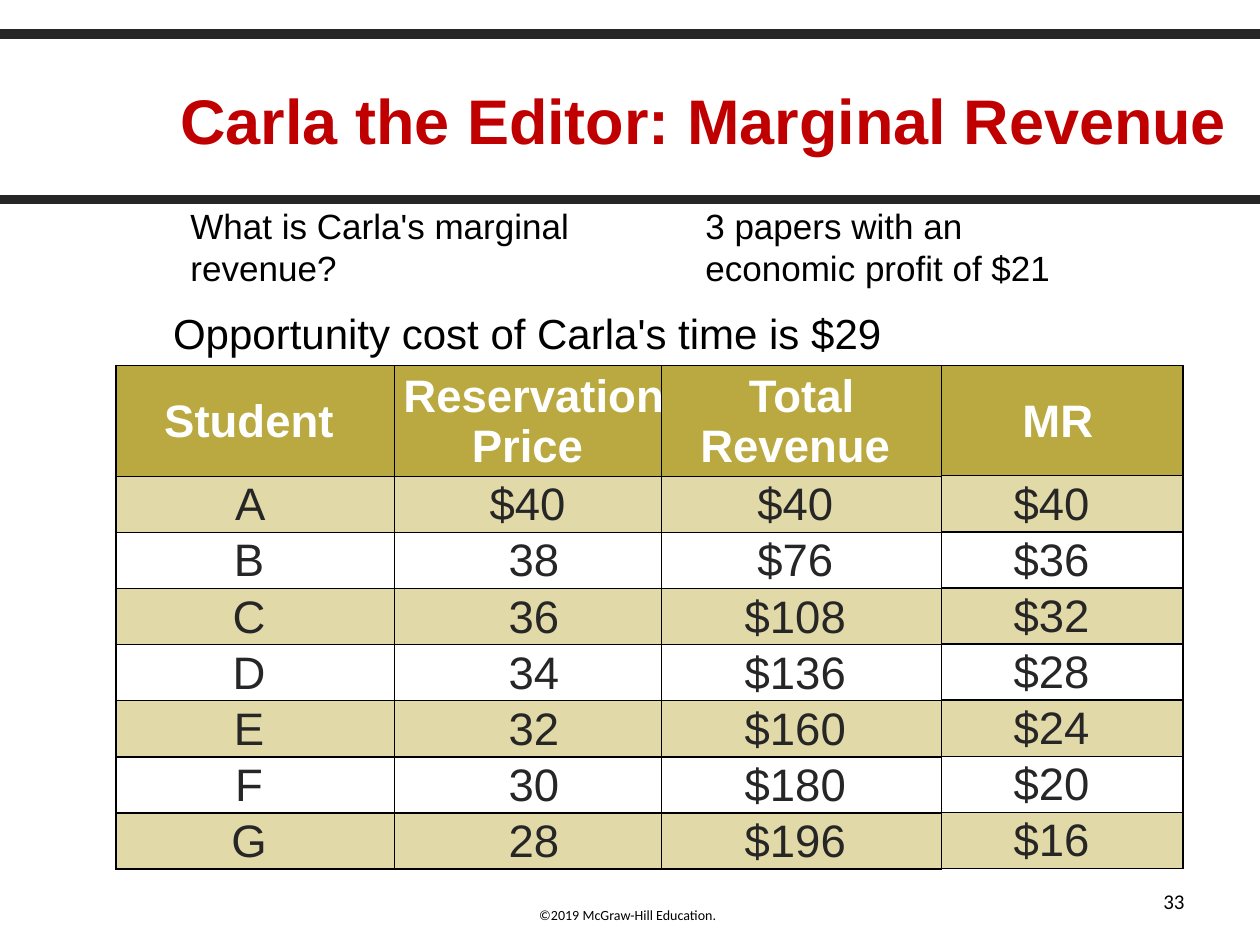
from dataclasses import dataclass

from lxml.etree import SubElement
from pptx import Presentation
from pptx.dml.color import RGBColor
from pptx.enum.shapes import MSO_CONNECTOR
from pptx.enum.text import MSO_ANCHOR, PP_ALIGN
from pptx.oxml.ns import qn
from pptx.util import Cm, Pt


@dataclass(frozen=True)
class Theme:
    font: str = "Arial"
    small: str = "Calibri"
    black: str = "000000"
    white: str = "FFFFFF"
    dark: str = "262626"
    red: str = "C00000"
    gold: str = "BAA940"
    pale: str = "E1D9A7"
    title: int = 36
    cell: int = 26
    lead: int = 24
    note: int = 20
    page: int = 12
    credit: int = 8
    rule: float = 5.5


THEME = Theme()
HEAD, ROW = 2.22, 1.13
INSET = 0.03
# Left, width and columns, from back to front
TABLES = [
    (2.34, 11.23, [
        ["Student ", "A ", "B ", "C ", "D ", "E ", "F ", "G "],
        ["Reservation Price ", "$40 ", "38", "36", "34", "32", "30", "28"],
    ]),
    (18.8, 5.05, [
        ["MR", "$40 ", "$36 ", "$32 ", "$28 ", "$24 ", "$20 ", "$16 "],
    ]),
    (13.34, 5.64, [
        ["Total Revenue ", "$40 ", "$76 ", "$108 ", "$136 ", "$160 ",
         "$180 ", "$196 "],
    ]),
]


def place(shape, box):
    shape.left, shape.top, shape.width, shape.height = map(Cm, box)


def write(frame, lines, size, color=THEME.black, font=THEME.font, bold=False,
          align=PP_ALIGN.LEFT, anchor=MSO_ANCHOR.TOP):
    frame.word_wrap = True
    frame.vertical_anchor = anchor
    for i, line in enumerate(lines):
        para = frame.add_paragraph() if i else frame.paragraphs[0]
        para.alignment = align
        run = para.add_run()
        run.text = line
        run.font.name, run.font.size, run.font.bold = font, Pt(size), bold
        run.font.color.rgb = RGBColor.from_string(color)


def add_text(slide, box, lines, size, **style):
    shape = slide.shapes.add_textbox(*map(Cm, box))
    write(shape.text_frame, lines, size, **style)


def add_rule(slide, y, width):
    line = slide.shapes.add_connector(
        MSO_CONNECTOR.STRAIGHT, 0, Cm(y), Cm(width), Cm(y))
    line.line.color.rgb = RGBColor.from_string(THEME.dark)
    line.line.width = Pt(THEME.rule)
    SubElement(line._element.spPr, qn("a:effectLst"))


def add_header(slide, box):
    left, top, width, height = box
    for y in (top, top + height):
        add_rule(slide, y, left + width)
    title = slide.shapes.title
    place(title, (left + 2.97, top + 0.08, width - 2.97, height - 0.08))
    write(title.text_frame, ["Carla the Editor: Marginal Revenue"],
          THEME.title, color=THEME.red, bold=True,
          align=PP_ALIGN.CENTER, anchor=MSO_ANCHOR.MIDDLE)


def add_border(cell):
    props = cell._tc.get_or_add_tcPr()
    for side in ("lnL", "lnR", "lnT", "lnB"):
        edge = SubElement(props, qn(f"a:{side}"), w=str(Pt(1)))
        fill = SubElement(edge, qn("a:solidFill"))
        SubElement(fill, qn("a:srgbClr"), val=THEME.black)


def fill_cell(cell, text, row):
    add_border(cell)
    shade = THEME.pale if row % 2 else THEME.white
    cell.fill.solid()
    cell.fill.fore_color.rgb = RGBColor.from_string(
        shade if row else THEME.gold)
    cell.margin_left = cell.margin_right = cell.margin_top = Cm(INSET)
    cell.margin_bottom = 0
    write(cell.text_frame, [text], THEME.cell, bold=not row,
          color=THEME.dark if row else THEME.white, align=PP_ALIGN.CENTER)
    cell.vertical_anchor = MSO_ANCHOR.MIDDLE


def add_grid(slide, left, top, width, cols):
    count = len(cols[0])
    height = HEAD + ROW * (count - 1)
    table = slide.shapes.add_table(
        count, len(cols), *map(Cm, (left, top, width, height))).table
    for row, line in enumerate(table.rows):
        line.height = Cm(ROW if row else HEAD)
    for col, texts in enumerate(cols):
        table.columns[col].width = Cm(width / len(cols))
        for row, text in enumerate(texts):
            fill_cell(table.cell(row, col), text, row)


def add_notes(slide, box):
    """Question, answer and the assumption line above the tables."""
    left, top, width, height = box
    add_text(slide, (left + 1.3, top, 9.68, 1.96),
             ["What is Carla's marginal revenue?"], THEME.note)
    add_text(slide, (left + 11.68, top, 10, 1.96),
             ["3 papers with an", "economic profit of $21"], THEME.note)
    add_text(slide, (left + 0.95, top + 2.08, width - 0.95, height - 2.08),
             ["Opportunity cost of Carla's time is $29"], THEME.lead)


def add_footer(slide, box):
    left, top, width, height = box
    add_text(slide, (left, top + 0.51, width, height - 0.51),
             ["©2019 McGraw-Hill Education. "], THEME.credit,
             font=THEME.small, align=PP_ALIGN.CENTER)
    add_text(slide, (left + 9.75, top, 5.92, 1.02), ["33"], THEME.page,
             font=THEME.small, align=PP_ALIGN.RIGHT,
             anchor=MSO_ANCHOR.MIDDLE)


def main():
    deck = Presentation()
    deck.slide_width, deck.slide_height = Cm(25.4), Cm(19.05)
    slide = deck.slides.add_slide(deck.slide_layouts[5])
    add_header(slide, (0, 0.69, 25.4, 3.33))
    add_notes(slide, (2.29, 3.99, 21.84, 3.3))
    for left, width, cols in TABLES:
        add_grid(slide, left, 7.37, width, cols)
    add_footer(slide, (8.46, 17.65, 8.46, 1.4))
    deck.save("out.pptx")


if __name__ == "__main__":
    main()
